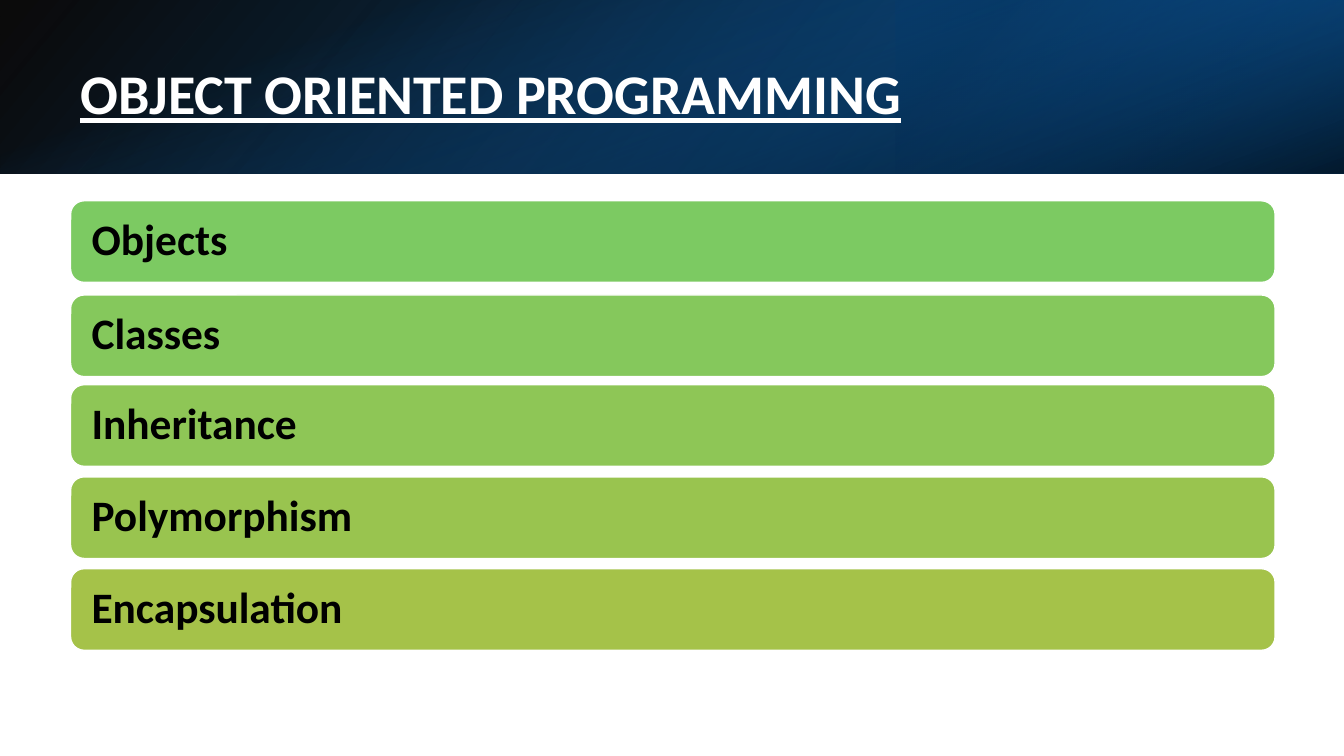
"""Build the slide that lists the ideas of object oriented programming."""
from lxml.etree import SubElement
from pptx import Presentation
from pptx.dml.color import RGBColor
from pptx.enum.shapes import MSO_SHAPE
from pptx.enum.text import MSO_ANCHOR, PP_ALIGN
from pptx.oxml.ns import qn
from pptx.util import Pt

WIDE, HIGH, BAND = 960, 540, 123.84
COLORS = {
    "white": "FFFFFF", "black": "000000", "deep": "0B5394",
    "navy": "083763", "blue": "0F6FC6",
}
BARS = [
    ("Objects", 143.4, "7CCA62"),
    ("Classes", 210.7, "85C85C"),
    ("Inheritance", 274.8, "8EC656"),
    ("Polymorphism", 340.6, "99C44F"),
    ("Encapsulation", 406.2, "A5C249"),
]


class Deck:
    font = "Calibri"

    def __init__(self):
        self.show = Presentation()
        self.show.slide_width, self.show.slide_height = Pt(WIDE), Pt(HIGH)
        self.slide = self.show.slides.add_slide(self.show.slide_layouts[6])

    def shape(self, kind, box):
        shape = self.slide.shapes.add_shape(kind, *map(Pt, box))
        shape.shadow.inherit = False
        return shape

    def band(self, box, stops, angle, turn=0, flip=False):
        shape = self.shape(MSO_SHAPE.RECTANGLE, box)
        shape.line.fill.background()
        shape.rotation = turn
        if flip:
            shape._element.spPr.xfrm.set("flipH", "1")
        shape.fill.gradient()
        grad = shape._element.spPr.find(qn("a:gradFill"))
        for child in list(grad):
            grad.remove(child)
        group = SubElement(grad, qn("a:gsLst"))
        for place, color, alpha in stops:
            stop = SubElement(group, qn("a:gs"), pos=str(place * 1000))
            tint = SubElement(stop, qn("a:srgbClr"), val=COLORS[color])
            SubElement(tint, qn("a:alpha"), val=str(alpha * 1000))
        SubElement(grad, qn("a:lin"), ang=str(angle * 60000), scaled="0")

    def label(self, shape, text, size, color, inset, under=False):
        frame = shape.text_frame
        frame.word_wrap = True
        frame.vertical_anchor = MSO_ANCHOR.MIDDLE
        frame.margin_left = frame.margin_right = Pt(inset)
        para = frame.paragraphs[0]
        para.text = text
        para.alignment = PP_ALIGN.LEFT
        para.line_spacing = 0.9
        font = para.font
        font.name, font.size, font.bold = self.font, Pt(size), True
        font.underline = under
        font.color.rgb = RGBColor.from_string(COLORS[color])

    def title(self, text, box):
        shape = self.slide.shapes.add_textbox(*map(Pt, box))
        self.label(shape, text, 40, "white", 7.2, under=True)

    def bar(self, text, box, fill):
        shape = self.shape(MSO_SHAPE.ROUNDED_RECTANGLE, box)
        shape.fill.solid()
        shape.fill.fore_color.rgb = RGBColor.from_string(fill)
        shape.line.color.rgb = RGBColor.from_string(COLORS["white"])
        shape.line.width = Pt(1)
        self.label(shape, text, 31, "black", 12.2)


def main():
    deck = Deck()
    deck.band((0, 0, WIDE, BAND),
              [(0, "black", 96), (100, "deep", 100)], 140, flip=True)
    deck.band((WIDE * 2 / 3, 0, WIDE / 3, BAND),
              [(19, "navy", 68), (100, "blue", 79)], 320, 180, True)
    side = (WIDE - BAND) / 2
    deck.band((side, -side, BAND, WIDE),
              [(23, "blue", 0), (99, "black", 74)], 340, 90)
    deck.title("OBJECT ORIENTED PROGRAMMING", (50.4, 34.6, 790.6, 69.1))
    for text, top, fill in BARS:
        deck.bar(text, (50.4, top, 860.4, 58.3), fill)
    deck.show.save("out.pptx")


if __name__ == "__main__":
    main()
